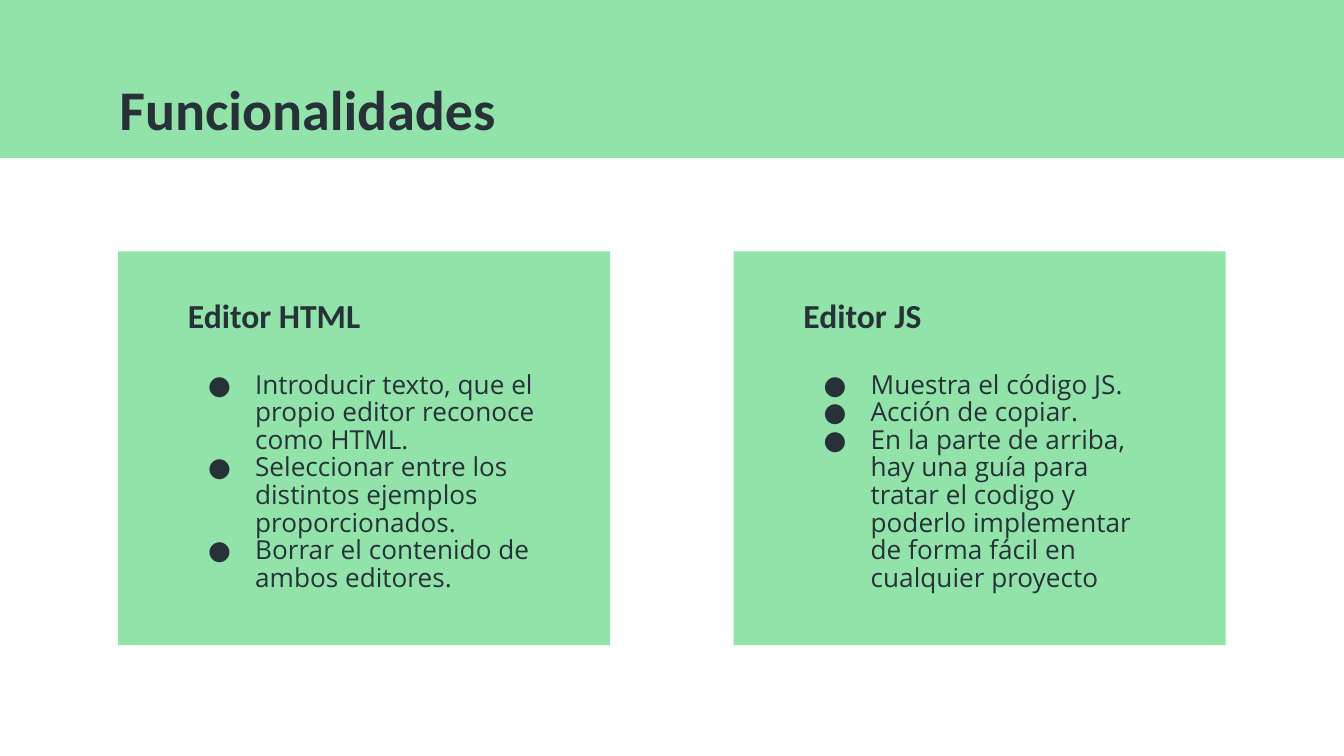
"""Build the slide that lists what the two editors do."""
import dataclasses

import lxml.etree
import pptx
import pptx.dml.color
import pptx.enum.shapes
import pptx.enum.text
import pptx.oxml.ns
import pptx.shapes.base
import pptx.slide
import pptx.text.text
import pptx.util

Pt = pptx.util.Pt
Kind = pptx.enum.shapes.MSO_SHAPE
COLORS = {"green": "92E3A9", "ink": "263238", "white": "FFFFFF"}
HEAD, BODY = "Calibri", "Open Sans"
LEFT, STEP = 63.36, 329.76
INSET = 30.24


@dataclasses.dataclass
class Box:
    """Place and size in points."""
    left: float
    top: float
    width: float
    height: float

    def spots(self) -> list[pptx.util.Length]:
        """Return the four lengths in the order that shapes take."""
        return [Pt(n) for n in (self.left, self.top, self.width, self.height)]


@dataclasses.dataclass
class Card:
    """Heading and bullet items of one editor."""
    title: str
    items: list[str]


CARDS = [
    Card("Editor HTML", [
        "Introducir texto, que el propio editor reconoce como HTML.",
        "Seleccionar entre los distintos ejemplos proporcionados.",
        "Borrar el contenido de ambos editores.",
    ]),
    Card("Editor JS", [
        "Muestra el código JS.",
        "Acción de copiar.",
        "En la parte de arriba, hay una guía para tratar el codigo y "
        "poderlo implementar de forma fácil en cualquier proyecto",
    ]),
]


def color(name: str) -> pptx.dml.color.RGBColor:
    """Look up a named colour."""
    return pptx.dml.color.RGBColor.from_string(COLORS[name])


def panel(slide: pptx.slide.Slide, kind: Kind, box: Box) -> pptx.shapes.base.BaseShape:
    """Draw a flat green shape."""
    shape = slide.shapes.add_shape(kind, *box.spots())
    shape.shadow.inherit = False
    shape.fill.solid()
    shape.fill.fore_color.rgb = color("green")
    shape.line.fill.background()
    return shape


def frame(slide: pptx.slide.Slide, box: Box) -> pptx.text.text.TextFrame:
    """Add a wrapped text box centred on its middle."""
    text = slide.shapes.add_textbox(*box.spots()).text_frame
    text.word_wrap = True
    text.vertical_anchor = pptx.enum.text.MSO_ANCHOR.MIDDLE
    text.margin_left = text.margin_right = Pt(7.2)
    text.margin_top = text.margin_bottom = Pt(7.2)
    return text


def write(para: pptx.text.text._Paragraph, words: str, face: str,
          size: float, bold: bool = False) -> None:
    """Add one run in the ink colour."""
    run = para.add_run()
    run.text = words
    run.font.name = face
    run.font.size = Pt(size)
    run.font.bold = bold
    run.font.color.rgb = color("ink")


def title(slide: pptx.slide.Slide, box: Box, words: str, size: float) -> None:
    """Write a bold heading."""
    write(frame(slide, box).paragraphs[0], words, HEAD, size, True)


def bullet(para: pptx.text.text._Paragraph) -> None:
    """Give a paragraph a hanging round bullet."""
    props = para._p.get_or_add_pPr()
    props.set("marL", str(Pt(36)))
    props.set("indent", str(-Pt(25.2)))
    tag = pptx.oxml.ns.qn
    tint = lxml.etree.SubElement(props, tag("a:buClr"))
    lxml.etree.SubElement(tint, tag("a:srgbClr"), val=COLORS["ink"])
    lxml.etree.SubElement(props, tag("a:buFont"), typeface=BODY)
    lxml.etree.SubElement(props, tag("a:buChar"), char="●")


def bullets(slide: pptx.slide.Slide, box: Box, items: list[str]) -> None:
    """Write a list with one paragraph per item."""
    text = frame(slide, box)
    for num, item in enumerate(items):
        para = text.add_paragraph() if num else text.paragraphs[0]
        para.line_spacing = 0.88
        bullet(para)
        write(para, item, BODY, 14)


def main() -> None:
    """Build and save the slide."""
    deck = pptx.Presentation()
    deck.slide_width, deck.slide_height = Pt(720), Pt(405)
    slide = deck.slides.add_slide(deck.slide_layouts[6])
    slide.background.fill.solid()
    slide.background.fill.fore_color.rgb = color("white")
    panel(slide, Kind.RECTANGLE, Box(0, 0, 720, 84.6))
    title(slide, Box(56.88, 35.28, 606.96, 45.36), "Funcionalidades", 30)
    for num, card in enumerate(CARDS):
        left = LEFT + num * STEP
        back = panel(slide, Kind.ROUNDED_RECTANGLE, Box(left, 134.64, 263.52, 210.96))
        back.adjustments[0] = 0
        title(slide, Box(left + INSET, 157.68, 203.04, 22.32), card.title, 18)
        bullets(slide, Box(left + INSET, 190.8, 203.04, 135.36), card.items)
    deck.save("out.pptx")


if __name__ == "__main__":
    main()
